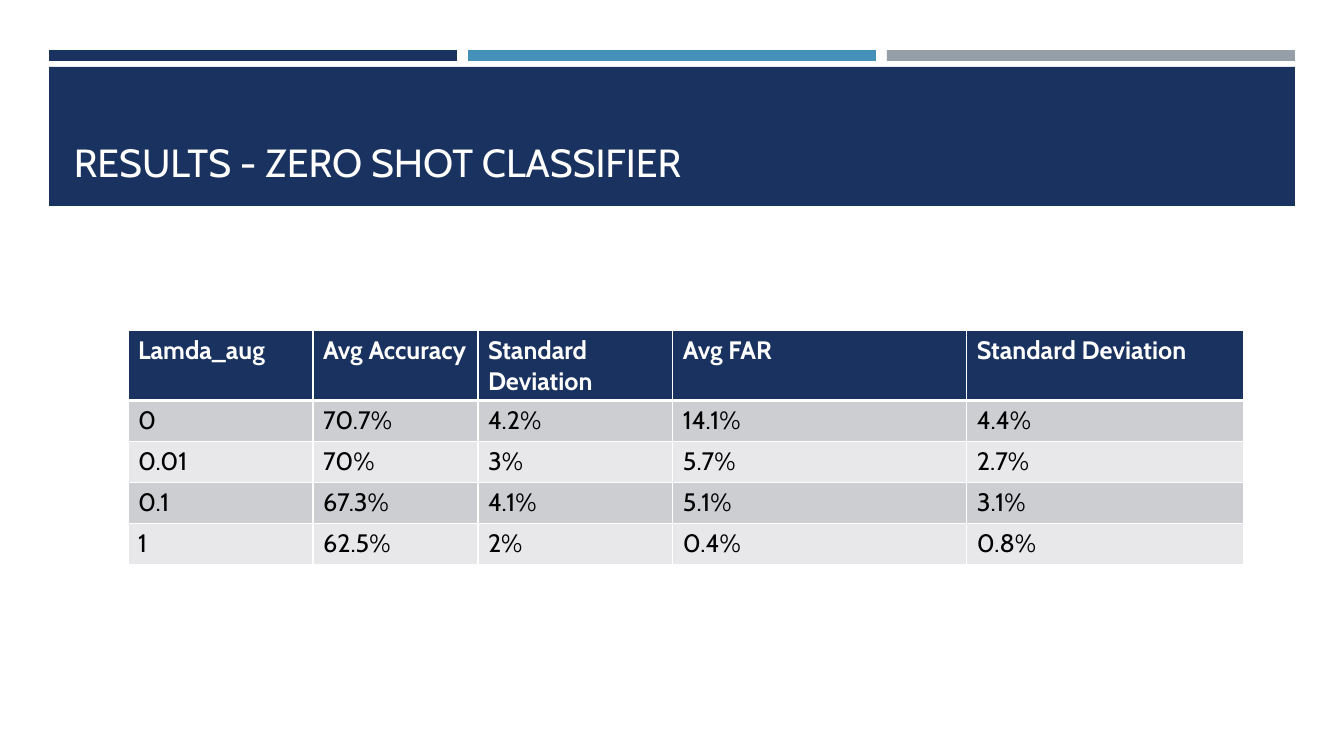
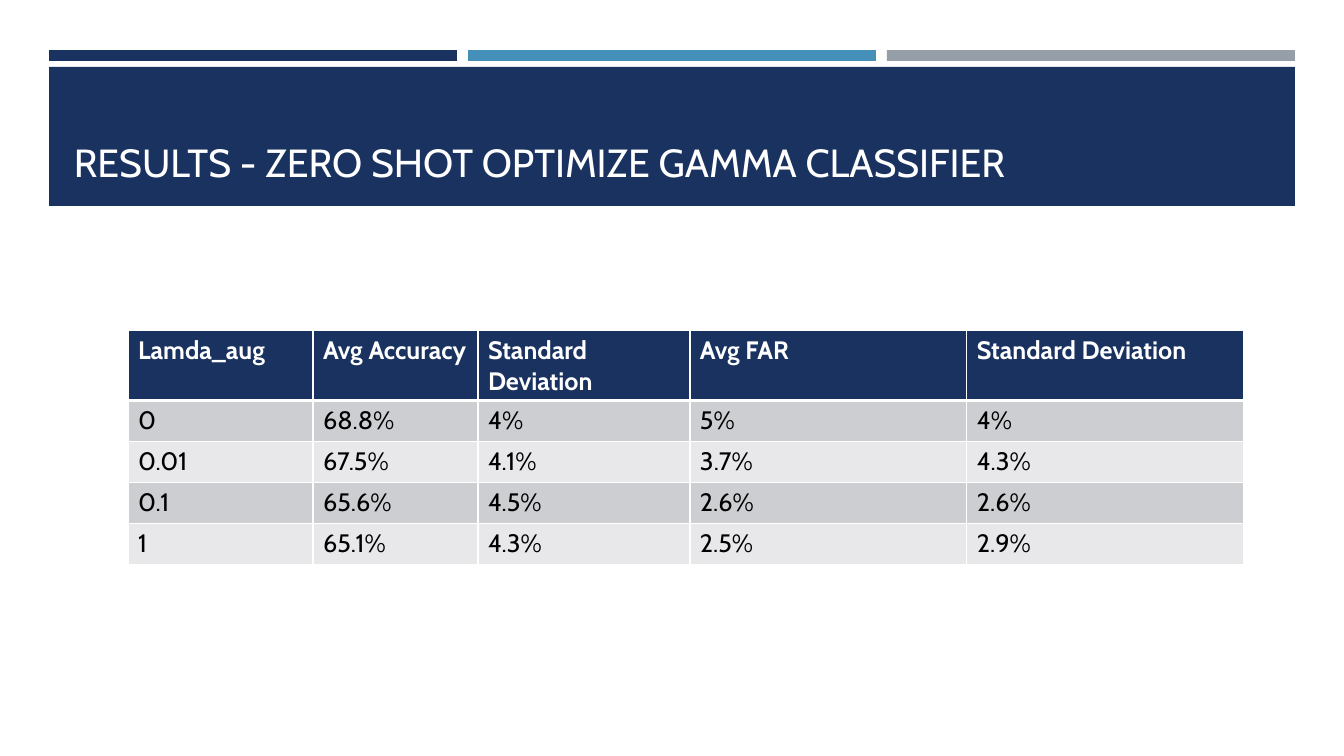
from itertools import product

from pptx import Presentation
from pptx.dml.color import RGBColor
from pptx.enum.shapes import MSO_SHAPE
from pptx.enum.text import MSO_ANCHOR
from pptx.oxml.ns import qn
from pptx.util import Inches, Pt
from lxml.etree import SubElement

FONT = "Cabin"
HUES = {
    "navy": "1A3260",
    "blue": "4590B8",
    "gray": "969FA7",
    "dark": "CDCED2",
    "light": "E8E8EA",
    "white": "FFFFFF",
    "black": "000000",
}
HEAD = ["Lamda_aug", "Avg Accuracy", "Standard Deviation", "Avg FAR",
        "Standard Deviation"]
DECK = [
    ("RESULTS - ZERO SHOT CLASSIFIER", [185, 165, 195, 294, 277], [
        ["0", "70.7%", "4.2%", "14.1%", "4.4%"],
        ["0.01", "70%", "3%", "5.7%", "2.7%"],
        ["0.1", "67.3%", "4.1%", "5.1%", "3.1%"],
        ["1", "62.5%", "2%", "0.4%", "0.8%"],
    ]),
    ("RESULTS - ZERO SHOT OPTIMIZE GAMMA CLASSIFIER",
     [185, 165, 212, 277, 277], [
         ["0", "68.8%", "4%", "5%", "4%"],
         ["0.01", "67.5%", "4.1%", "3.7%", "4.3%"],
         ["0.1", "65.6%", "4.5%", "2.6%", "2.6%"],
         ["1", "65.1%", "4.3%", "2.5%", "2.9%"],
     ]),
]


def px(n):
    return round(n * Inches(1) / 100.8)


def hue(name):
    return RGBColor.from_string(HUES[name])


def write(frame, text, size, tone, bold=False):
    run = frame.paragraphs[0].add_run()
    run.text = text
    font = run.font
    font.name, font.size, font.bold = FONT, Pt(size), bold
    font.color.rgb = hue(tone)


def block(slide, box, tone):
    shape = slide.shapes.add_shape(MSO_SHAPE.RECTANGLE, *map(px, box))
    shape.shadow.inherit = False
    shape.fill.solid()
    shape.fill.fore_color.rgb = hue(tone)
    shape.line.fill.background()


def bars(slide, box, gap=11):
    left, top, width, height = box
    tones = ["navy", "blue", "gray"]
    size = (width - gap * (len(tones) - 1)) // len(tones)
    for i, tone in enumerate(tones):
        block(slide, (left + i * (size + gap), top, size, height), tone)


def banner(slide, box, text):
    left, top, width, height = box
    block(slide, box, "navy")
    title = slide.shapes.add_textbox(
        px(left + 15), px(top + 14), px(width - 30), px(height - 30))
    frame = title.text_frame
    frame.word_wrap = True
    frame.vertical_anchor = MSO_ANCHOR.BOTTOM
    write(frame, text, 28, "white")


def edge(cell, side, width):
    line = SubElement(cell._tc.get_or_add_tcPr(), qn("a:ln" + side),
                      w=str(Pt(width)))
    fill = SubElement(line, qn("a:solidFill"))
    SubElement(fill, qn("a:srgbClr"), val=HUES["white"])


def grid(slide, box, cols, rows):
    data = [HEAD] + rows
    table = slide.shapes.add_table(
        len(data), len(cols), *map(px, box)).table
    table.first_row = table.horz_banding = False
    for col, width in zip(table.columns, cols):
        col.width = px(width)
    step = 41
    for i, row in enumerate(table.rows):
        row.height = px(step if i else box[3] - step * len(rows))
    for r, c in product(range(len(data)), range(len(cols))):
        cell = table.cell(r, c)
        edge(cell, "L", 1)
        edge(cell, "R", 1)
        edge(cell, "T", 3 if r == 1 else 1)
        edge(cell, "B", 3 if r == 0 else 1)
        cell.fill.solid()
        tone = ("dark" if r % 2 else "light") if r else "navy"
        cell.fill.fore_color.rgb = hue(tone)
        write(cell.text_frame, data[r][c], 18,
              "black" if r else "white", r == 0)


def result(deck, title, cols, rows):
    slide = deck.slides.add_slide(deck.slide_layouts[6])
    bars(slide, (49, 50, 1246, 11))
    banner(slide, (49, 67, 1246, 139), title)
    grid(slide, (128, 330, sum(cols), 234), cols, rows)


def main():
    deck = Presentation()
    deck.slide_width, deck.slide_height = px(1344), px(756)
    for title, cols, rows in DECK:
        result(deck, title, cols, rows)
    deck.save("out.pptx")


if __name__ == "__main__":
    main()
